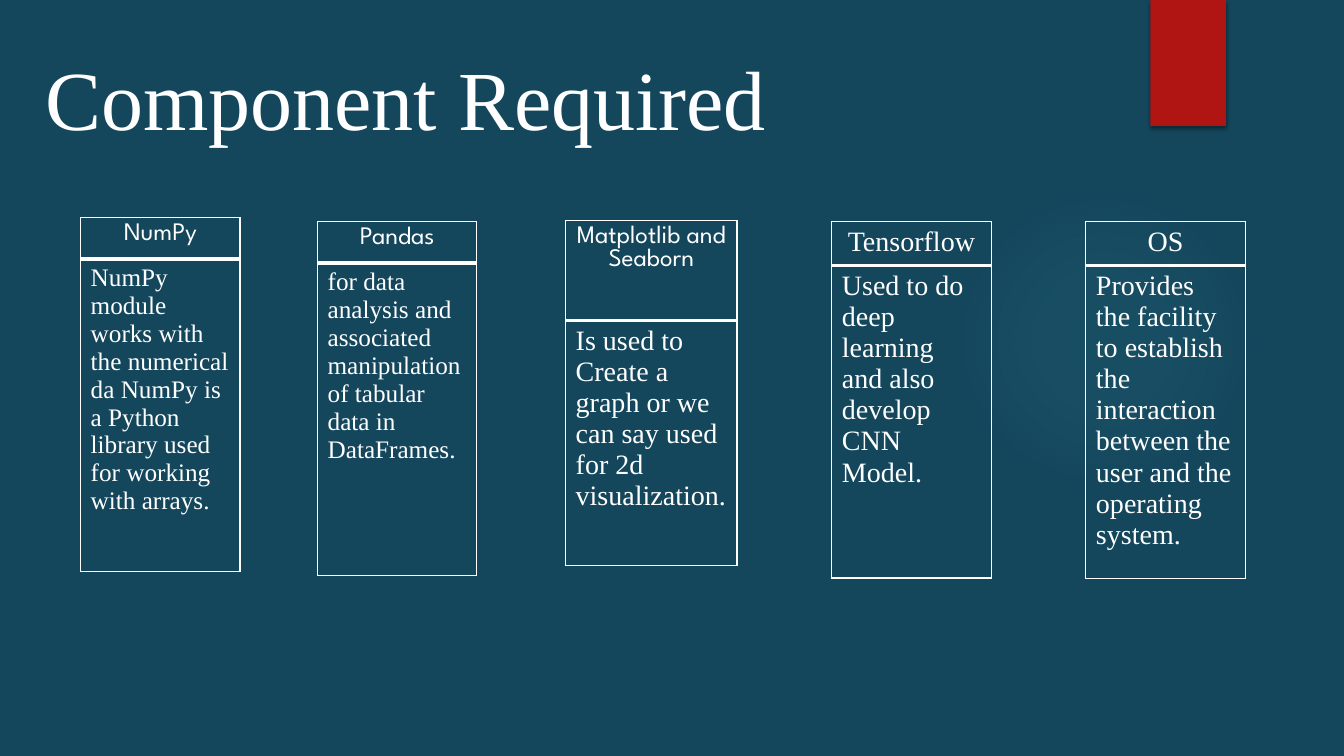
from lxml import etree
from pptx import Presentation
from pptx.dml.color import RGBColor
from pptx.enum import shapes, text
from pptx.oxml import parse_xml
from pptx.oxml.ns import nsdecls, qn
from pptx.util import Inches, Pt

BACKGROUND = RGBColor(0x14, 0x46, 0x5C)
GLOW = RGBColor(0x50, 0xB9, 0xC1)
RED = RGBColor(0xB0, 0x15, 0x13)
WHITE = RGBColor(0xFF, 0xFF, 0xFF)
SERIF = "Times New Roman"
SANS = "League Spartan"

# left, top, width, header height, body height, header font and size, body size, texts
CARDS = [
    (0.8, 2.16, 1.58, 0.41, 3.1, SANS, 18, 18, "NumPy",
     "NumPy module works with the numerical da NumPy is a Python library "
     "used for working with arrays."),
    (3.15, 2.2, 1.58, 0.41, 3.1, SANS, 18, 18, "Pandas",
     "for data analysis and associated manipulation of tabular data in DataFrames."),
    (5.61, 2.19, 1.7, 0.99, 2.43, SANS, 18, 20, "Matplotlib and Seaborn",
     "Is used to Create a graph or we can say used for 2d visualization."),
    (8.25, 2.2, 1.58, 0.43, 3.1, SERIF, 20, 20, "Tensorflow",
     "Used to do deep learning and also develop CNN Model."),
    (10.77, 2.2, 1.58, 0.43, 3.1, SERIF, 20, 20, "OS",
     "Provides the facility to establish the interaction between the user "
     "and the operating system."),
]


class Page:
    def __init__(self, deck):
        self.slide = deck.slides.add_slide(deck.slide_layouts[5])
        fill = self.slide.background.fill
        fill.solid()
        fill.fore_color.rgb = BACKGROUND

    def style(self, para, font, size, align):
        para.font.name = font
        para.font.size = Pt(size)
        para.font.color.rgb = WHITE
        para.alignment = align

    def shape(self, kind, left, top, width, height):
        shape = self.slide.shapes.add_shape(
            kind, Inches(left), Inches(top), Inches(width), Inches(height))
        shape.line.fill.background()
        shape.shadow.inherit = False
        return shape

    def glow(self, left, top, size):
        circle = self.shape(shapes.MSO_SHAPE.OVAL, left, top, size, size)
        circle.fill.background()
        stops = "".join(
            f'<a:gs pos="{place * 1000}"><a:srgbClr val="{GLOW}">'
            f'<a:alpha val="{alpha * 1000}"/></a:srgbClr></a:gs>'
            for place, alpha in ((0, 7), (36, 6), (69, 0)))
        gradient = parse_xml(
            f'<a:gradFill {nsdecls("a")} rotWithShape="1"><a:gsLst>{stops}</a:gsLst>'
            '<a:path path="circle"><a:fillToRect l="50000" t="50000" r="50000" '
            'b="50000"/></a:path></a:gradFill>')
        properties = circle.element.spPr
        properties.replace(properties.find(qn("a:noFill")), gradient)

    def ribbon(self, left, top, width, height):
        ribbon = self.shape(shapes.MSO_SHAPE.RECTANGLE, left, top, width, height)
        ribbon.fill.solid()
        ribbon.fill.fore_color.rgb = RED
        ribbon.element.spPr.find(qn("a:effectLst")).append(parse_xml(
            f'<a:outerShdw {nsdecls("a")} blurRad="{Pt(3)}" dist="{Pt(2)}" dir="5400000">'
            '<a:srgbClr val="000000"><a:alpha val="45000"/></a:srgbClr></a:outerShdw>'))

    def title(self, words, left, top, width, height):
        box = self.slide.shapes.title
        box.left, box.top = Inches(left), Inches(top)
        box.width, box.height = Inches(width), Inches(height)
        frame = box.text_frame
        frame.text = words
        frame.word_wrap = True
        frame.auto_size = text.MSO_AUTO_SIZE.SHAPE_TO_FIT_TEXT
        frame.vertical_anchor = text.MSO_ANCHOR.TOP
        self.style(frame.paragraphs[0], SERIF, 60, text.PP_ALIGN.LEFT)

    def borders(self, cell, **widths):
        properties = cell._tc.get_or_add_tcPr()
        for side in "LRTB":
            line = etree.SubElement(properties, qn(f"a:ln{side}"),
                                    w=str(Pt(widths.get(side, 1))))
            solid = etree.SubElement(line, qn("a:solidFill"))
            etree.SubElement(solid, qn("a:srgbClr"), val=str(WHITE))

    def card(self, left, top, width, head_height, body_height,
             head_font, head_size, body_size, heading, description):
        table = self.slide.shapes.add_table(
            2, 1, Inches(left), Inches(top), Inches(width),
            Inches(head_height + body_height)).table
        table.first_row = table.horz_banding = False
        table.rows[0].height = Inches(head_height)
        table.rows[1].height = Inches(body_height)
        head, body = table.cell(0, 0), table.cell(1, 0)
        head.text, body.text = heading, description
        self.style(head.text_frame.paragraphs[0], head_font, head_size,
                   text.PP_ALIGN.CENTER)
        self.style(body.text_frame.paragraphs[0], SERIF, body_size,
                   text.PP_ALIGN.LEFT)
        self.borders(head, B=3)
        self.borders(body, T=3)
        for cell in (head, body):
            cell.fill.background()


def main():
    deck = Presentation()
    deck.slide_width, deck.slide_height = Inches(13.33), Inches(7.5)
    page = Page(deck)

    # Backdrop
    page.glow(9.41, 1.83, 3.08)
    page.ribbon(11.41, 0, 0.75, 1.25)

    # Heading and component cards
    page.title("Component Required", 0.35, 0.41, 7.61, 1.11)
    for card in CARDS:
        page.card(*card)

    deck.save("out.pptx")


if __name__ == "__main__":
    main()
